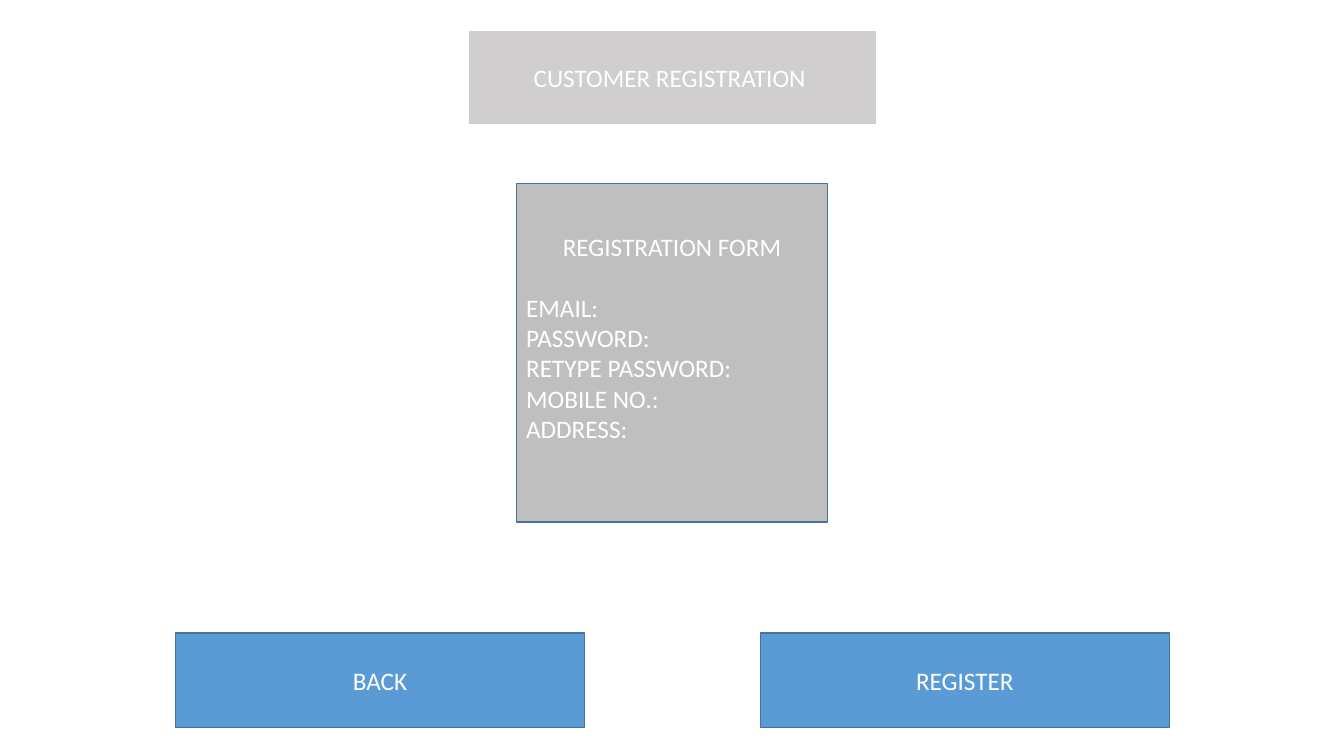
from pptx import Presentation
from pptx.dml.color import RGBColor
from pptx.enum.shapes import MSO_SHAPE
from pptx.enum.text import MSO_ANCHOR, PP_ALIGN
from pptx.util import Inches, Pt

WHITE, BLUE, OUTLINE = "FFFFFF", "5B9BD5", "43739E"
BANNER_GREY, FORM_GREY = "D0CECE", "BFBFBF"
TEXT_FORMAT = {"name": "Calibri", "size": Pt(18)}
LINE_HEIGHT = 22  # points, one line of 18 pt text
BUTTON_WIDTH, BUTTON_HEIGHT = 4.06, 0.94


def rgb(hex_colour):
    return RGBColor.from_string(hex_colour)


def add_panel(slide, box, fill, outline):
    panel = slide.shapes.add_shape(MSO_SHAPE.RECTANGLE, *map(Inches, box))
    panel.shadow.inherit = False
    panel.fill.solid()
    panel.fill.fore_color.rgb = rgb(fill)
    panel.line.color.rgb = rgb(outline)
    panel.line.width = Pt(1)
    panel.text_frame.word_wrap = True
    panel.text_frame.vertical_anchor = MSO_ANCHOR.MIDDLE
    return panel.text_frame


def write(paragraph, text, alignment):
    paragraph.text = text
    paragraph.alignment = alignment
    for attribute, value in TEXT_FORMAT.items():
        setattr(paragraph.font, attribute, value)
    paragraph.font.color.rgb = rgb(WHITE)


def add_label(slide, box, label, fill, outline):
    frame = add_panel(slide, box, fill, outline)
    write(frame.paragraphs[0], label, PP_ALIGN.CENTER)


def add_form(slide, box, heading, fields):
    frame = add_panel(slide, box, FORM_GREY, OUTLINE)
    # Room for one line below the last field
    frame.margin_bottom = Inches(0.05) + Pt(LINE_HEIGHT)
    write(frame.paragraphs[0], heading, PP_ALIGN.CENTER)
    frame.paragraphs[0].space_after = Pt(LINE_HEIGHT)
    for field in fields:
        write(frame.add_paragraph(), field, PP_ALIGN.LEFT)


def add_buttons(slide, left, top, pitch, labels):
    for index, label in enumerate(labels):
        box = (left + index * pitch, top, BUTTON_WIDTH, BUTTON_HEIGHT)
        add_label(slide, box, label, BLUE, OUTLINE)


def main():
    deck = Presentation()
    deck.slide_width, deck.slide_height = Inches(13.33), Inches(7.5)
    slide = deck.slides.add_slide(deck.slide_layouts[6])

    # Registration form
    add_form(slide, (5.12, 1.82, 3.09, 3.36), "REGISTRATION FORM",
             ["EMAIL:", "PASSWORD:", "RETYPE PASSWORD:", "MOBILE NO.:", "ADDRESS:"])

    # Navigation buttons
    add_buttons(slide, 1.74, 6.28, 5.8, ["BACK", "REGISTER"])

    # Page banner
    add_label(slide, (4.64, 0.3, BUTTON_WIDTH, BUTTON_HEIGHT),
              "CUSTOMER REGISTRATION ", BANNER_GREY, WHITE)

    deck.save("out.pptx")


if __name__ == "__main__":
    main()
